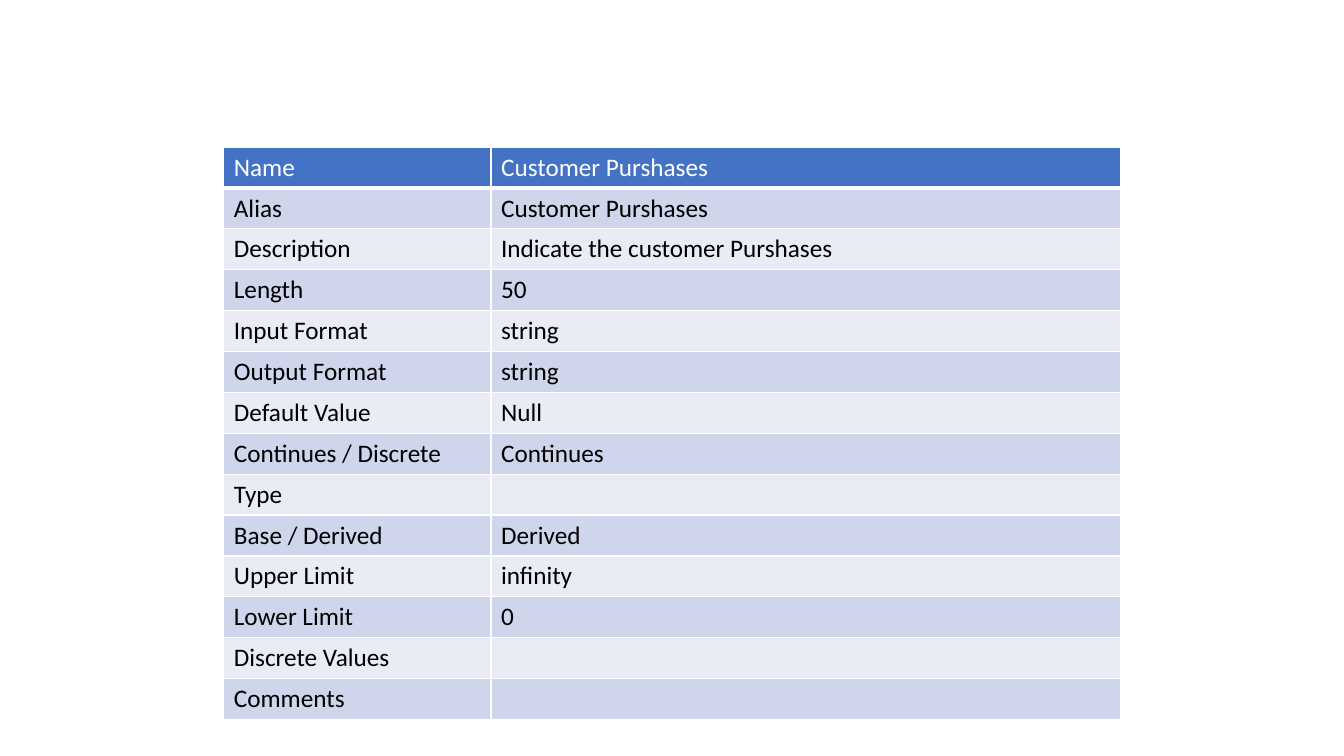
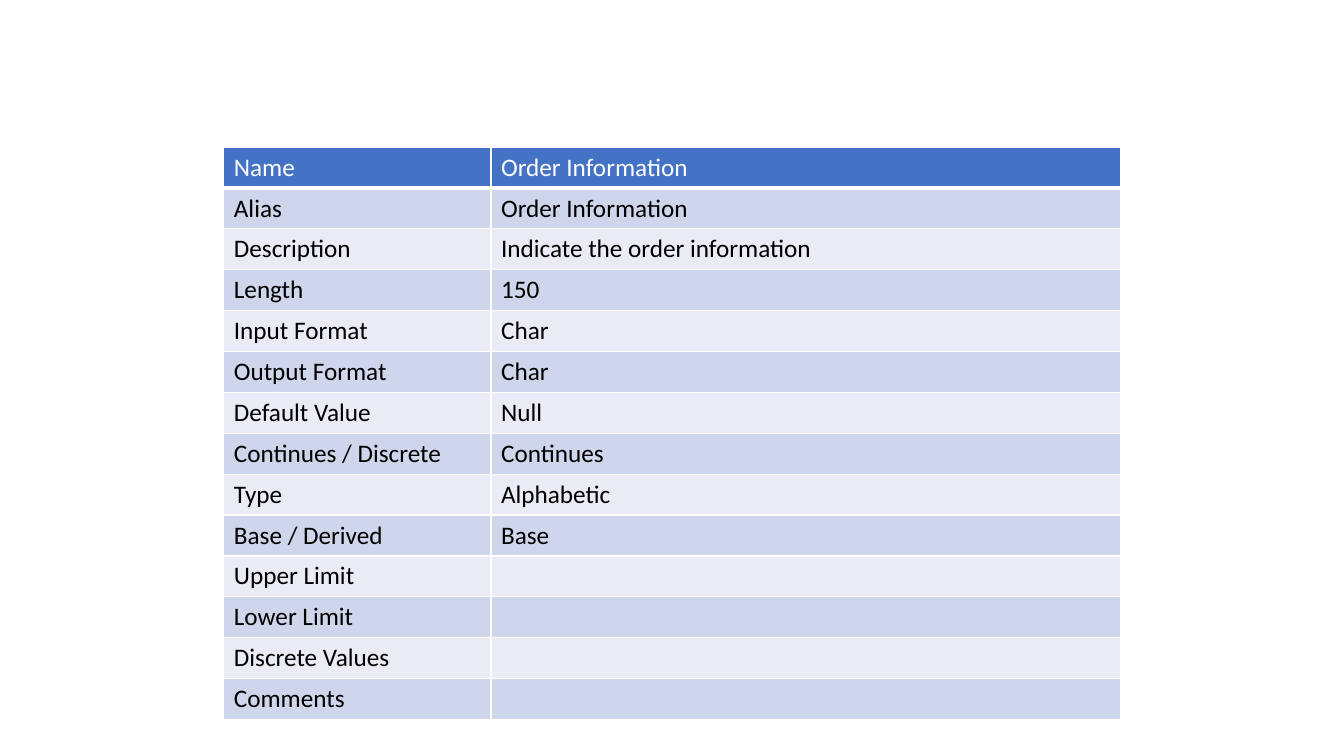
import pptx
import pptx.dml.color
import pptx.oxml
import pptx.oxml.ns
import pptx.util

Inches = pptx.util.Inches
RGBColor = pptx.dml.color.RGBColor

FIELDS = [
    "Name", "Alias", "Description", "Length", "Input Format", "Output Format",
    "Default Value", "Continues / Discrete", "Type", "Base / Derived",
    "Upper Limit", "Lower Limit", "Discrete Values", "Comments",
]
ENTRIES = [
    {
        "Name": "Customer Purshases",
        "Alias": "Customer Purshases",
        "Description": "Indicate the customer Purshases",
        "Length": "50",
        "Input Format": "string",
        "Output Format": "string",
        "Default Value": "Null",
        "Continues / Discrete": "Continues",
        "Base / Derived": "Derived",
        "Upper Limit": "infinity",
        "Lower Limit": "0",
    },
    {
        "Name": "Order Information",
        "Alias": "Order Information",
        "Description": "Indicate the order information",
        "Length": "150",
        "Input Format": "Char",
        "Output Format": "Char",
        "Default Value": "Null",
        "Continues / Discrete": "Continues",
        "Type": "Alphabetic",
        "Base / Derived": "Base",
    },
]

WHITE = RGBColor(0xFF, 0xFF, 0xFF)
BLACK = RGBColor(0x00, 0x00, 0x00)
HEADER_BLUE = RGBColor(0x44, 0x72, 0xC4)
BANDS = [RGBColor(0xE9, 0xEB, 0xF5), RGBColor(0xCF, 0xD5, 0xEA)]
FONT = "Calibri"

SLIDE_WIDTH, SLIDE_HEIGHT = Inches(13.33), Inches(7.5)
TABLE_WIDTH, TABLE_HEIGHT = Inches(8.89), Inches(5.68)
TABLE_LEFT, TABLE_TOP = (SLIDE_WIDTH - TABLE_WIDTH) // 2, Inches(1.46)
FIELD_WIDTH = Inches(2.65)


def set_borders(cell, *, color, width, bottom):
    properties = cell._tc.get_or_add_tcPr()
    for position, side in enumerate(("lnL", "lnR", "lnT", "lnB")):
        points = bottom if side == "lnB" else width
        line = pptx.oxml.parse_xml(
            f'<a:{side} {pptx.oxml.ns.nsdecls("a")} w="{pptx.util.Pt(points)}">'
            f'<a:solidFill><a:srgbClr val="{color}"/></a:solidFill></a:{side}>'
        )
        properties.insert(position, line)


def write_cell(cell, text, *, fill, color, size=18, bottom=1):
    cell.fill.solid()
    cell.fill.fore_color.rgb = fill
    set_borders(cell, color=WHITE, width=1, bottom=bottom)
    para = cell.text_frame.paragraphs[0]
    para.font.size = pptx.util.Pt(size)
    if text:
        span = para.add_run()
        span.text = text
        span.font.name = FONT
        span.font.size = pptx.util.Pt(size)
        span.font.bold = False
        span.font.color.rgb = color


def add_entry(deck, entry):
    page = deck.slides.add_slide(deck.slide_layouts[6])
    table = page.shapes.add_table(
        len(FIELDS), 2, TABLE_LEFT, TABLE_TOP, TABLE_WIDTH, TABLE_HEIGHT
    ).table
    table.columns[0].width = FIELD_WIDTH
    table.columns[1].width = TABLE_WIDTH - FIELD_WIDTH
    for row, field in enumerate(FIELDS):
        if row == 0:
            style = {"fill": HEADER_BLUE, "color": WHITE, "bottom": 3}
        else:
            style = {"fill": BANDS[row % 2], "color": BLACK}
        for column, text in enumerate((field, entry.get(field, ""))):
            write_cell(table.cell(row, column), text, **style)


def main():
    deck = pptx.Presentation()
    deck.slide_width, deck.slide_height = SLIDE_WIDTH, SLIDE_HEIGHT
    for entry in ENTRIES:
        add_entry(deck, entry)
    deck.save("out.pptx")


if __name__ == "__main__":
    main()
